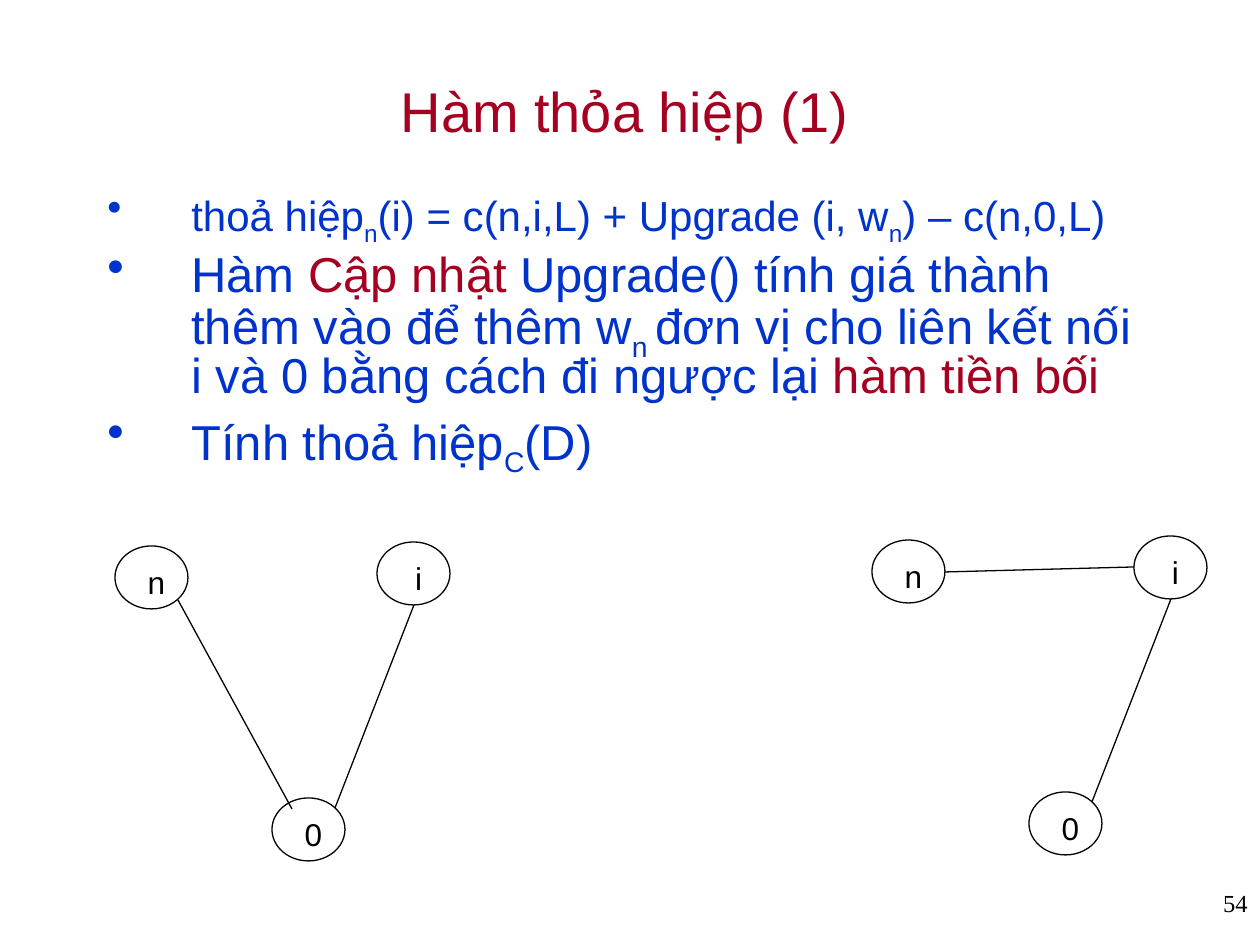
import pptx
import pptx.util
import pptx.dml.color
import pptx.enum.shapes
import pptx.enum.text
from lxml import etree

PX = 914400 // 126
ALIGN = pptx.enum.text.PP_ALIGN
ANCHOR = pptx.enum.text.MSO_ANCHOR
SHAPE = pptx.enum.shapes.MSO_SHAPE
LINE = pptx.enum.shapes.MSO_CONNECTOR


class Theme:
    red, blue, black = "A50021", "0033CC", "000000"
    sans, serif = "Arial", "Times New Roman"
    title, large, small, label, page = 32, 28, 24, 18, 14
    stroke = 0.75


# Content: runs are (text, style), where style is "", "sub" or "red"
TITLE = "Hàm thỏa hiệp (1)"
PAGE = "54"
POINTS = [
    (Theme.small, [("thoả hiệp", ""), ("n", "sub"),
                   ("(i) = c(n,i,L) + Upgrade (i, w", ""), ("n", "sub"),
                   (") – c(n,0,L)", "")]),
    (Theme.large, [("Hàm ", ""), ("Cập nhật", "red"),
                   (" Upgrade() tính giá thành thêm vào để thêm w", ""),
                   ("n ", "sub"),
                   ("đơn vị cho liên kết nối i và 0 bằng cách đi ngược lại ", ""),
                   ("hàm tiền bối", "red")]),
    (Theme.large, [("Tính thoả hiệp", ""), ("C", "sub"), ("(D)", "")]),
]

# Nodes: name, left, top, label shift, label width
NODES = [("n", 115, 546, 20, 43), ("0", 272, 798, 20, 43), ("i", 377, 542, 25, 33)]
EDGES = {"n0": (178, 600, 292, 809),
         "i0": (414, 605, 335, 808),
         "ni": (188, 578, 377, 573)}
# Graphs: shift right, shift down, edges
GRAPHS = [(0, 0, ["n0", "i0"]), (757, -6, ["i0", "ni"])]


def px(*vals):
    return [val * PX for val in vals]


def color(code):
    return pptx.dml.color.RGBColor.from_string(code)


def style(para, size, code, face=Theme.sans):
    font = para.font
    font.size, font.name = pptx.util.Pt(size), face
    font.color.rgb = color(code)


def text_box(slide, box, wrap=True):
    frame = slide.shapes.add_textbox(*px(*box)).text_frame
    frame.word_wrap = wrap
    return frame


def write(frame, text, size, code, align, face=Theme.sans):
    para = frame.paragraphs[0]
    para.text, para.alignment = text, align
    style(para, size, code, face)


def stroke(shape):
    shape.line.color.rgb = color(Theme.black)
    shape.line.width = pptx.util.Pt(Theme.stroke)


def add_points(slide):
    frame = text_box(slide, (95, 189, 1071, 609))
    for num, (size, runs) in enumerate(POINTS):
        para = frame.add_paragraph() if num else frame.paragraphs[0]
        para.line_spacing = 0.8
        para.space_before = pptx.util.Pt(size * 0.2 if num else 0)
        para.space_after = pptx.util.Pt(size * 0.1)
        # Hanging bullet
        props = para._p.get_or_add_pPr()
        props.set("marL", str(84 * PX))
        props.set("indent", str(-84 * PX))
        mark = etree.SubElement(props, pptx.oxml.ns.qn("a:buChar"))
        mark.set("char", "•")
        style(para, size, Theme.blue)
        for text, kind in runs:
            run = para.add_run()
            run.text = text
            if kind == "red":
                run.font.color.rgb = color(Theme.red)
            elif kind == "sub":
                run.font._element.set("baseline", "-25000")


def add_node(slide, name, left, top, shift, width):
    oval = slide.shapes.add_shape(SHAPE.OVAL, *px(left, top, 73, 63))
    oval.shadow.inherit = False
    oval.fill.background()
    stroke(oval)
    frame = text_box(slide, (left + shift, top + 11, width, 50), wrap=False)
    write(frame, name, Theme.label, Theme.black, ALIGN.CENTER)


def add_edge(slide, ends):
    edge = slide.shapes.add_connector(LINE.STRAIGHT, *px(*ends))
    stroke(edge)
    etree.SubElement(edge._element.spPr, pptx.oxml.ns.qn("a:effectLst"))


def main():
    deck = pptx.Presentation()
    deck.slide_width, deck.slide_height = pptx.util.Inches(10), pptx.util.Inches(7.5)
    slide = deck.slides.add_slide(deck.slide_layouts[5])

    # Title and page number
    title = slide.shapes.title
    title.left, title.top, title.width, title.height = px(53, 32, 1144, 157)
    title.text_frame.vertical_anchor = ANCHOR.MIDDLE
    write(title.text_frame, TITLE, Theme.title, Theme.red, ALIGN.CENTER)
    number = text_box(slide, (998, 882, 262, 63))
    write(number, PAGE, Theme.page, Theme.black, ALIGN.RIGHT, Theme.serif)

    # Bullets, then the two graphs
    add_points(slide)
    for right, down, edges in GRAPHS:
        for name, left, top, shift, width in NODES:
            add_node(slide, name, left + right, top + down, shift, width)
        for key in edges:
            x1, y1, x2, y2 = EDGES[key]
            add_edge(slide, (x1 + right, y1 + down, x2 + right, y2 + down))

    deck.save("out.pptx")


if __name__ == "__main__":
    main()
